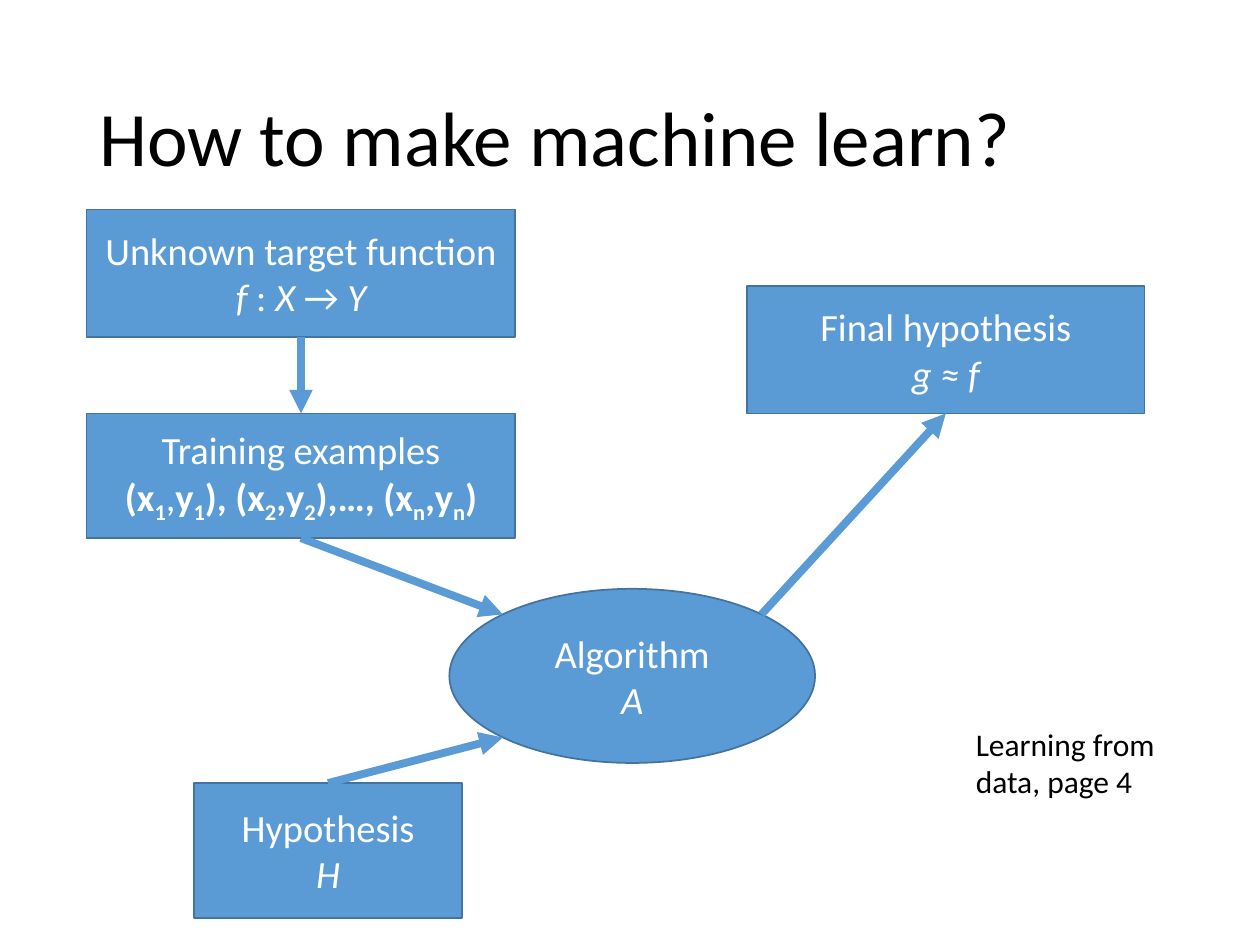
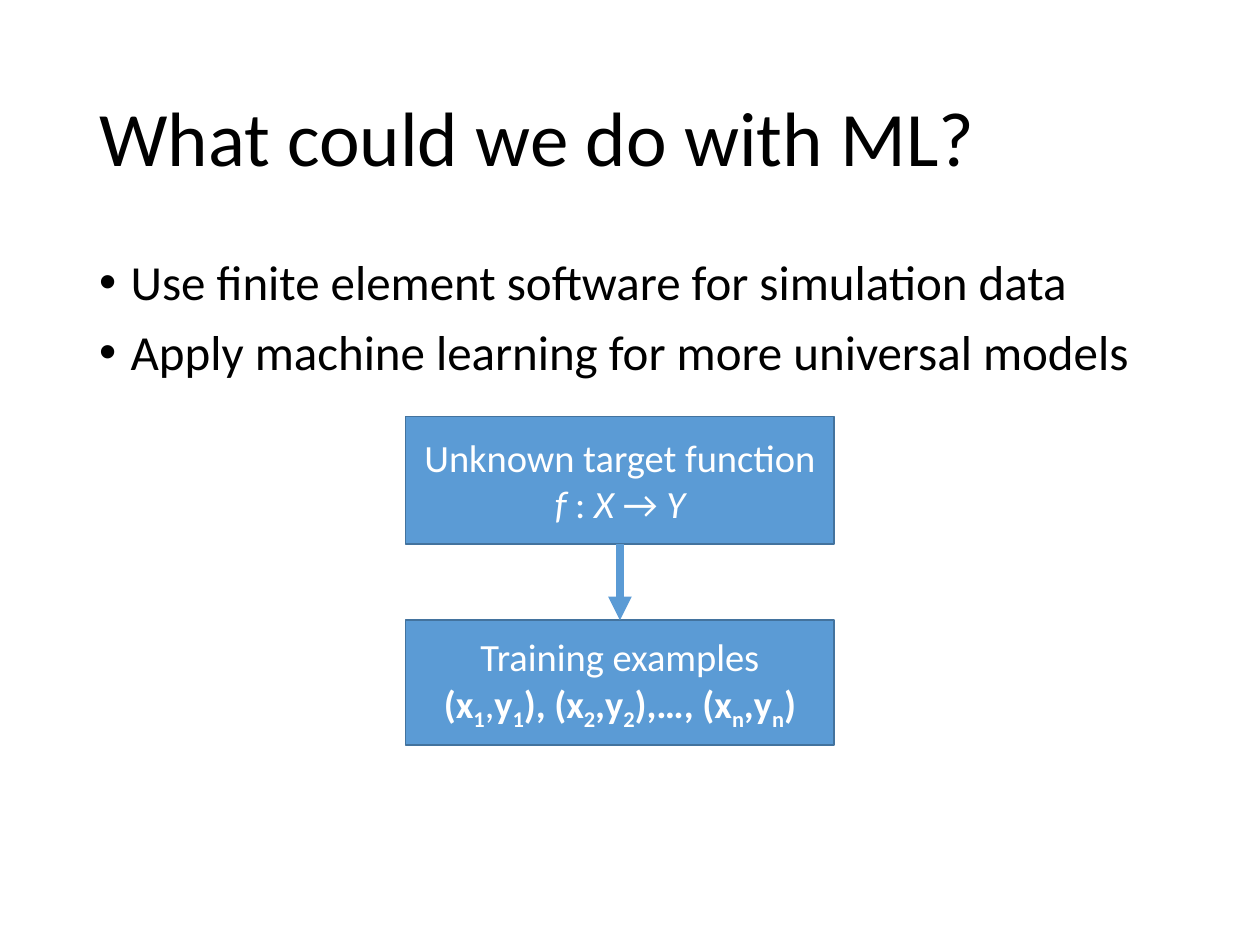
"""Build two slides on how a machine learns from training examples."""
from dataclasses import dataclass, field
from math import sqrt
from typing import Any, NamedTuple

from lxml import etree
from pptx import Presentation
from pptx.dml.color import RGBColor
from pptx.enum import shapes, text
from pptx.oxml.ns import qn
from pptx.util import Pt

BLUE, EDGE, WHITE, BLACK = "5B9BD5", "43739E", "FFFFFF", "000000"
FONT = "Calibri"
BOX_W, BOX_H, GAP = 245, 73, 43.5
TOP, BOTTOM = 0, 2
DIAGONAL = (1 - sqrt(0.5)) / 2


class Run(NamedTuple):
    """A piece of text with its own font format."""
    text: str
    fmt: dict[str, Any] = {}
    baseline: int = 0


class Rect(NamedTuple):
    """A frame in points."""
    x: float
    y: float
    w: float
    h: float


@dataclass
class Node:
    """A filled shape with a heading and a line of notation."""
    rect: Rect
    heading: str
    notation: list[Run] = field(default_factory=list)
    kind: shapes.MSO_SHAPE = shapes.MSO_SHAPE.RECTANGLE


def italic(s: str) -> Run:
    """Return an italic run."""
    return Run(s, {"italic": True})


def bold(s: str) -> Run:
    """Return a bold run."""
    return Run(s, {"bold": True})


def sub(s: str) -> Run:
    """Return a bold subscript run."""
    return Run(s, {"bold": True}, -25000)


MAPPING = [italic("f"), Run(" : "), italic("X "), Run("→ "), italic("Y")]
PAIRS = [bold("(x"), sub("1"), Run(","), bold("y"), sub("1"),
         bold("), (x"), sub("2"), bold(",y"), sub("2"),
         bold("),…, (x"), sub("n"), bold(",y"), sub("n"), bold(")")]


def rgb(value: str) -> RGBColor:
    """Turn a hex string into a colour."""
    return RGBColor.from_string(value)


def apply(obj: Any, fmt: dict[str, Any]) -> None:
    """Set every attribute in a dict of format values."""
    for name, value in fmt.items():
        setattr(obj, name, value)


def place(sp: Any, rect: Rect) -> None:
    """Move a shape to a frame."""
    apply(sp, dict(zip(("left", "top", "width", "height"), map(Pt, rect))))


def write(p: Any, runs: list[Run], size: float, color: str) -> None:
    """Fill a paragraph with formatted runs."""
    for run in runs:
        r = p.add_run()
        r.text = run.text
        apply(r.font, {"name": FONT, "size": Pt(size), **run.fmt})
        r.font.color.rgb = rgb(color)
        if run.baseline:
            r.font._element.set("baseline", str(run.baseline))


def add_slide(prs: Any, layout: int, title: str) -> Any:
    """Add a slide with the shared title style."""
    s = prs.slides.add_slide(prs.slide_layouts[layout])
    sp = s.shapes.title
    place(sp, Rect(49.5, 28.75, 621, 104.5))
    tf = sp.text_frame
    apply(tf, {"vertical_anchor": text.MSO_ANCHOR.MIDDLE, "word_wrap": True,
               "auto_size": text.MSO_AUTO_SIZE.NONE})
    p = tf.paragraphs[0]
    apply(p, {"alignment": text.PP_ALIGN.LEFT, "line_spacing": 0.9})
    write(p, [Run(title)], 44, BLACK)
    return s


def add_bullets(s: Any, items: list[str]) -> None:
    """Fill the body placeholder with a bulleted list."""
    sp = s.placeholders[1]
    place(sp, Rect(49.5, 143.75, 621, 342.75))
    tf = sp.text_frame
    tf.auto_size = text.MSO_AUTO_SIZE.NONE
    for i, item in enumerate(items):
        p = tf.add_paragraph() if i else tf.paragraphs[0]
        apply(p, {"line_spacing": 0.9, "space_before": Pt(10)})
        pPr = p._p.get_or_add_pPr()
        pPr.set("marL", str(Pt(18)))
        pPr.set("indent", str(-Pt(18)))
        write(p, [Run(item)], 28, BLACK)


def add_node(s: Any, node: Node) -> Any:
    """Draw a node with its two centred lines."""
    sp = s.shapes.add_shape(node.kind, *map(Pt, node.rect))
    sp.shadow.inherit = False
    sp.fill.solid()
    sp.fill.fore_color.rgb = rgb(BLUE)
    sp.line.color.rgb = rgb(EDGE)
    sp.line.width = Pt(1)
    tf = sp.text_frame
    apply(tf, {"vertical_anchor": text.MSO_ANCHOR.MIDDLE, "word_wrap": True})
    for p, runs in ((tf.paragraphs[0], [Run(node.heading)]),
                    (tf.add_paragraph(), node.notation)):
        p.alignment = text.PP_ALIGN.CENTER
        write(p, runs, 22, WHITE)
    return sp


def point(sp: Any, fx: float, fy: float) -> tuple[int, int]:
    """Return the point at the given fractions of a shape's frame."""
    return int(sp.left + fx * sp.width), int(sp.top + fy * sp.height)


def add_arrow(s: Any, start: tuple[int, int], end: tuple[int, int]) -> Any:
    """Draw a thick arrow between two points."""
    cx = s.shapes.add_connector(shapes.MSO_CONNECTOR.STRAIGHT, *start, *end)
    cx.line.color.rgb = rgb(BLUE)
    cx.line.width = Pt(4.5)
    etree.SubElement(cx.line._get_or_add_ln(), qn("a:tailEnd"), type="triangle")
    etree.SubElement(cx._element.spPr, qn("a:effectLst"))
    return cx


def add_data_chain(s: Any, x: float, y: float) -> Any:
    """Draw the target function leading to the training examples."""
    target = add_node(s, Node(Rect(x, y, BOX_W, BOX_H),
                              "Unknown target function", MAPPING))
    examples = add_node(s, Node(Rect(x, y + BOX_H + GAP, BOX_W, 71.25),
                                "Training examples", PAIRS))
    cx = add_arrow(s, point(target, 0.5, 1), point(examples, 0.5, 0))
    cx.begin_connect(target, BOTTOM)
    cx.end_connect(examples, TOP)
    return examples


def add_source(s: Any, label: str) -> None:
    """Add the note that names the source."""
    sp = s.shapes.add_textbox(*map(Pt, (550.5, 410.5, 131, 51)))
    tf = sp.text_frame
    apply(tf, {"word_wrap": True,
               "auto_size": text.MSO_AUTO_SIZE.SHAPE_TO_FIT_TEXT})
    write(tf.paragraphs[0], [Run(label)], 18, BLACK)


def build_learning(prs: Any) -> None:
    """Build the diagram of the learning process."""
    s = add_slide(prs, 5, "How to make machine learn?")
    examples = add_data_chain(s, 49.5, 119.75)
    final = add_node(s, Node(Rect(427, 163.25, 227, BOX_H),
                             "Final hypothesis", [italic("g ≈ f")]))
    hypothesis = add_node(s, Node(Rect(111, 447.5, 153, 77),
                                  "Hypothesis", [italic("H")]))
    algorithm = add_node(s, Node(Rect(256.75, 336.5, 209, 99.5), "Algorithm",
                                 [italic("A")], shapes.MSO_SHAPE.OVAL))
    near, far = DIAGONAL, 1 - DIAGONAL
    for box, site, fy in ((examples, BOTTOM, near), (hypothesis, TOP, far)):
        cx = add_arrow(s, point(box, 0.5, site / 2), point(algorithm, near, fy))
        cx.begin_connect(box, site)
    cx = add_arrow(s, point(algorithm, far, near), point(final, 0.5, 1))
    cx.end_connect(final, BOTTOM)
    add_source(s, "Learning from data, page 4")


def build_uses(prs: Any) -> None:
    """Build the slide on uses of machine learning."""
    s = add_slide(prs, 1, "What could we do with ML?")
    add_bullets(s, ["Use finite element software for simulation data",
                    "Apply machine learning for more universal models"])
    add_data_chain(s, 231.75, 238)


def main() -> None:
    """Build and save the presentation."""
    prs = Presentation()
    apply(prs, {"slide_width": Pt(720), "slide_height": Pt(540)})
    build_learning(prs)
    build_uses(prs)
    prs.save("out.pptx")


if __name__ == "__main__":
    main()
